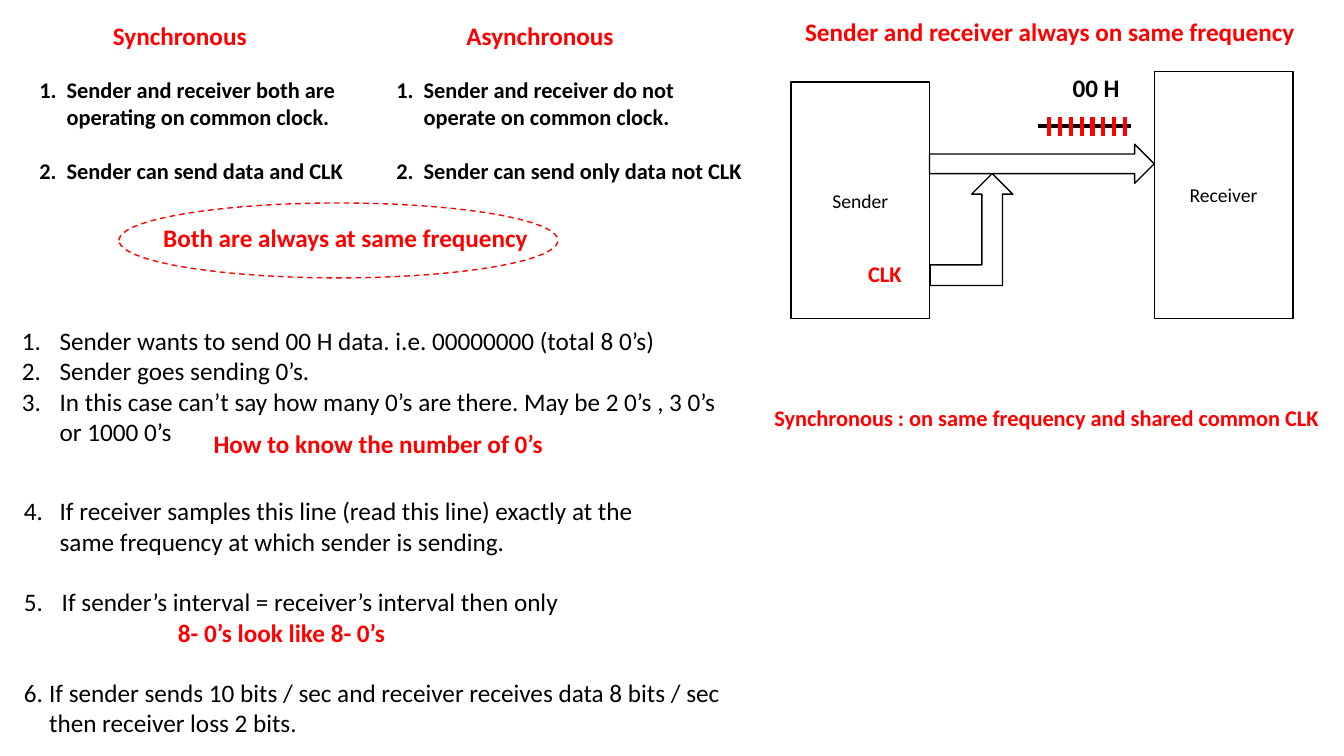
from lxml.etree import SubElement
from pptx import Presentation
from pptx.dml.color import RGBColor
from pptx.enum.dml import MSO_LINE
from pptx.enum.shapes import MSO_CONNECTOR, MSO_SHAPE
from pptx.enum.text import MSO_ANCHOR, MSO_AUTO_SIZE, PP_ALIGN
from pptx.oxml.ns import qn
from pptx.util import Pt

COLORS = {"black": "000000", "red": "FF0000"}
FONT = "Calibri"


def rgb(name):
    return RGBColor.from_string(COLORS[name])


def write(p, text, size=18, color="black", bold=False, number=None,
          hang=0, left=0, before=0, align=None):
    p.text = text
    p.space_before = Pt(before)
    if align is not None:
        p.alignment = align
    if hang or left:
        pPr = p._p.get_or_add_pPr()
        pPr.set("marL", str(Pt(hang + left)))
        pPr.set("indent", str(-Pt(hang)))
    if number:
        SubElement(p._p.get_or_add_pPr(), qn("a:buAutoNum"),
                   type="arabicPeriod", startAt=str(number))
    for r in p.runs:
        r.font.name = FONT
        r.font.size = Pt(size)
        r.font.bold = bold
        r.font.color.rgb = rgb(color)


def add_text(s, box, lines, wrap=True, **base):
    tf = s.shapes.add_textbox(*map(Pt, box)).text_frame
    tf.word_wrap = wrap
    tf.auto_size = MSO_AUTO_SIZE.SHAPE_TO_FIT_TEXT
    for i, (text, fmt) in enumerate(lines):
        p = tf.add_paragraph() if i else tf.paragraphs[0]
        write(p, text, **{**base, **fmt})


def add_label(s, box, text, color="red", **fmt):
    add_text(s, box, [(text, {})], color=color, bold=True, **fmt)


def add_outline(parent, kind, box, color="black", dash=None, text=None):
    sp = parent.shapes.add_shape(kind, *map(Pt, box))
    sp.shadow.inherit = False
    sp.fill.background()
    sp.line.color.rgb = rgb(color)
    sp.line.width = Pt(1)
    if dash is not None:
        sp.line.dash_style = dash
    if text:
        tf = sp.text_frame
        tf.vertical_anchor = MSO_ANCHOR.MIDDLE
        write(tf.paragraphs[0], text, size=14, align=PP_ALIGN.CENTER)


def add_line(parent, ends, color, width):
    cxn = parent.shapes.add_connector(MSO_CONNECTOR.STRAIGHT, *map(Pt, ends))
    cxn.line.color.rgb = rgb(color)
    cxn.line.width = Pt(width)
    SubElement(cxn._element.spPr, qn("a:effectLst"))


def add_comparison(s):
    columns = [
        ((73.5, 11, 115, 29), "Synchronous", (21, 51, 255.5, 104),
         "Sender and receiver both are\voperating on common clock.",
         "Sender can send data and CLK"),
        ((326, 11, 120, 29), "Asynchronous", (276, 51, 305, 104),
         "Sender and receiver do not\voperate on common clock.",
         "Sender can send only data not CLK"),
    ]
    for head_box, head, body_box, clock, data in columns:
        add_label(s, head_box, head, wrap=False)
        add_text(s, body_box, [(clock, {"number": 1}),
                               (data, {"number": 2, "before": 19.5})],
                 size=16, bold=True, hang=19.5)
    add_label(s, (109.5, 155.5, 276.5, 29), "Both are always at same frequency")
    add_outline(s, MSO_SHAPE.OVAL, (85, 145, 313.5, 53.5), "red", MSO_LINE.DASH)


def add_steps(s):
    sending = [
        "Sender wants to send 00 H data. i.e. 00000000 (total 8 0’s)",
        "Sender goes sending 0’s.",
        "In this case can’t say how many 0’s are there. "
        "May be 2 0’s , 3 0’s or 1000 0’s",
    ]
    add_text(s, (8.5, 229, 527, 116.5),
             [(text, {"number": i}) for i, text in enumerate(sending, 1)], hang=27)
    add_label(s, (145.5, 302.5, 276.5, 29), "How to know the number of 0’s")
    add_text(s, (10, 350.5, 527, 204), [
        ("If receiver samples this line (read this line) exactly at the\v"
         "same frequency at which sender is sending.", {"number": 4, "hang": 25.5}),
        ("If sender’s interval = receiver’s interval then only",
         {"number": 5, "hang": 27, "before": 21.75}),
        ("8- 0’s look like 8- 0’s", {"left": 110, "color": "red", "bold": True}),
        ("If sender sends 10 bits / sec and receiver receives data 8 bits / sec\v"
         "then receiver loss 2 bits.", {"number": 6, "hang": 18, "before": 21.75}),
    ])


def add_diagram(s):
    add_label(s, (568, 8, 412.5, 29), "Sender and receiver always on same frequency")
    blocks = s.shapes.add_group_shape()
    add_outline(blocks, MSO_SHAPE.RECTANGLE, (565, 58.5, 99, 169), text="Sender")
    add_outline(blocks, MSO_SHAPE.RIGHT_ARROW, (664, 103, 160.5, 28))
    add_outline(blocks, MSO_SHAPE.RECTANGLE, (824.5, 51, 99, 176.5), text="Receiver")
    add_outline(s, MSO_SHAPE.BENT_UP_ARROW, (664.5, 124, 59, 80))
    add_label(s, (759, 48, 49, 29), "00 H", "black", wrap=False)
    add_line(s, (741.5, 90, 808, 90), "black", 2.25)
    bits = s.shapes.add_group_shape()
    for i in range(8):
        x = 749.5 + 7.7 * i
        add_line(bits, (x, 83.5, x, 97), "red", 3)
    add_label(s, (613, 182, 50.5, 26.5), "CLK", size=16)
    add_label(s, (546, 285, 453, 26.5),
              "Synchronous : on same frequency and shared common CLK", size=16)


def main():
    prs = Presentation()
    prs.slide_width, prs.slide_height = Pt(960), Pt(540)
    s = prs.slides.add_slide(prs.slide_layouts[6])
    add_comparison(s)
    add_steps(s)
    add_diagram(s)
    prs.save("out.pptx")


if __name__ == "__main__":
    main()
